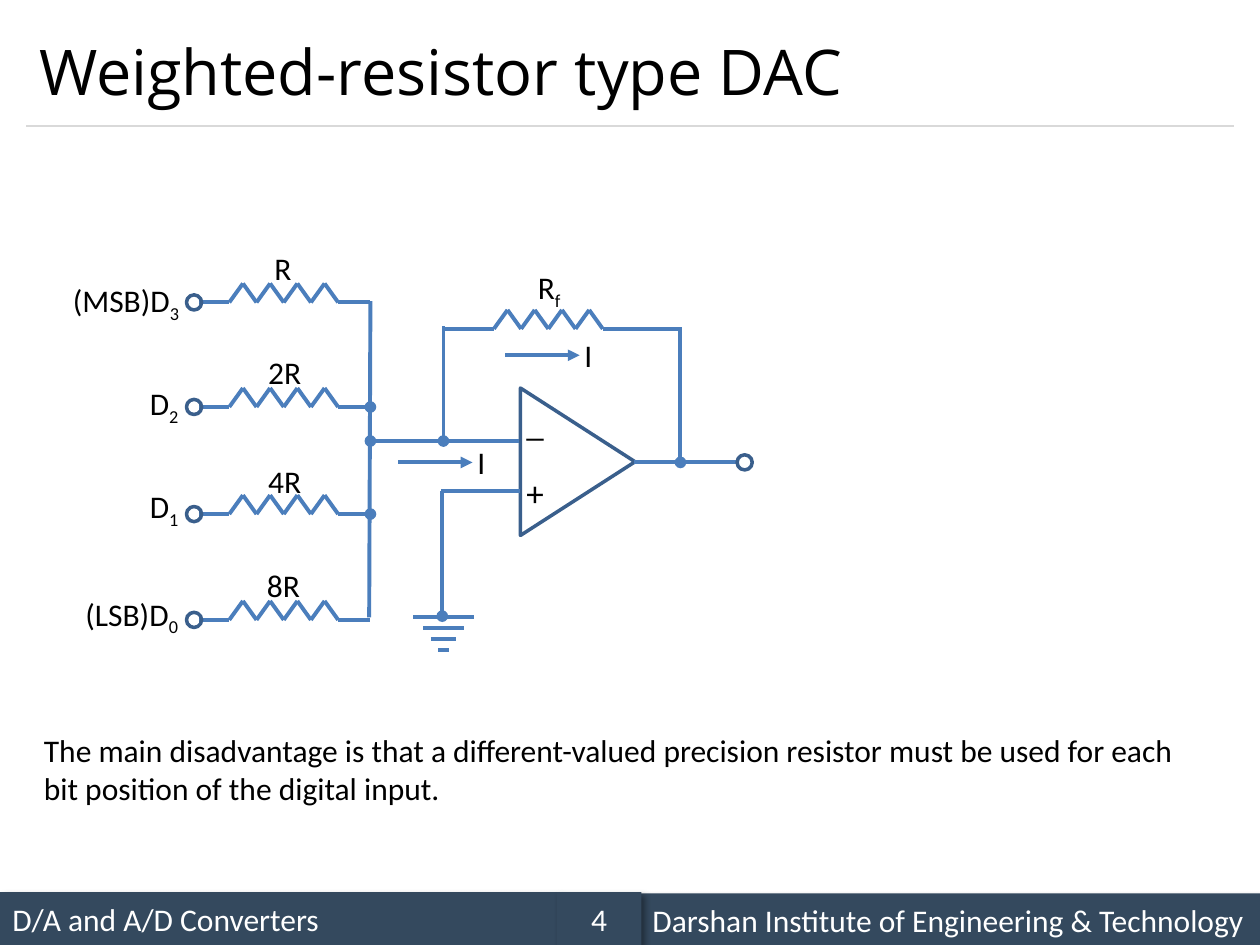
from lxml.etree import SubElement
from pptx import Presentation
from pptx.dml.color import RGBColor
from pptx.enum.shapes import MSO_CONNECTOR, MSO_SHAPE
from pptx.enum.text import MSO_ANCHOR, PP_ALIGN
from pptx.oxml import parse_xml
from pptx.oxml.ns import nsdecls, qn
from pptx.util import Inches, Pt

COLORS = {"bar": "34495E", "rule": "D9D9D9", "wire": "4B7EBC",
          "outline": "3A5F8C", "text": "000000", "bar_text": "FFFFFF"}

BAR_SHADOW = (
    f'<a:effectLst {nsdecls("a")}>'
    '<a:outerShdw blurRad="50800" dist="38100" dir="2700000" algn="tl" rotWithShape="0">'
    '<a:srgbClr val="000000"><a:alpha val="40000"/></a:srgbClr>'
    '</a:outerShdw></a:effectLst>')


def color(name):
    return RGBColor.from_string(COLORS[name])


class CircuitSlide:
    body_font = "Calibri"
    title_font = "Open Sans"

    def __init__(self, presentation):
        self.slide = presentation.slides.add_slide(presentation.slide_layouts[5])
        self.shapes = self.slide.shapes

    def style(self, paragraph, size=18, ink="text", font=None):
        paragraph.font.size = Pt(size)
        paragraph.font.name = font or self.body_font
        paragraph.font.color.rgb = color(ink)

    def title(self, text, left, top, width, height):
        title = self.shapes.title
        title.left, title.top = Inches(left), Inches(top)
        title.width, title.height = Inches(width), Inches(height)
        title.text_frame.text = text
        title.text_frame.vertical_anchor = MSO_ANCHOR.MIDDLE
        paragraph = title.text_frame.paragraphs[0]
        paragraph.alignment = PP_ALIGN.LEFT
        self.style(paragraph, 36, font=self.title_font)

    def label(self, text, left, top, width, height=0.4, subscript="", size=18, wrap=False):
        box = self.shapes.add_textbox(Inches(left), Inches(top), Inches(width), Inches(height))
        box.text_frame.word_wrap = wrap
        paragraph = box.text_frame.paragraphs[0]
        paragraph.add_run().text = text
        if subscript:
            run = paragraph.add_run()
            run.text = subscript
            run.font._element.set("baseline", "-25000")
        self.style(paragraph, size)

    def line(self, start, end, ink="wire", width=2.25, tail=None):
        points = [Inches(value) for value in (*start, *end)]
        connector = self.shapes.add_connector(MSO_CONNECTOR.STRAIGHT, *points)
        connector.line.color.rgb = color(ink)
        connector.line.width = Pt(width)
        if tail:
            SubElement(connector.line._get_or_add_ln(), qn("a:tailEnd"), type=tail)
        SubElement(connector._element.spPr, qn("a:effectLst"))

    def outline(self, kind, left, top, width, height, rotation=0):
        shape = self.shapes.add_shape(
            kind, Inches(left), Inches(top), Inches(width), Inches(height))
        shape.rotation = rotation
        shape.shadow.inherit = False
        shape.fill.background()
        shape.line.color.rgb = color("outline")
        shape.line.width = Pt(2)

    def terminal(self, left, top):
        self.outline(MSO_SHAPE.OVAL, left, top, 0.12, 0.12)

    def resistor(self, start, zigzag, end, y, tail=None):
        """Lead, eight zigzag strokes, lead."""
        step, rise = 0.108, 0.15
        for stroke in range(8):
            x = zigzag + stroke * step
            low, high = y, y - rise
            ends = (high, low) if stroke % 2 else (low, high)
            self.line((x, ends[0]), (x + step, ends[1]))
        self.line((start, y), (zigzag, y))
        self.line((zigzag + 8 * step, y), (end, y), tail=tail)

    def bar(self, text, left, top, width, align=PP_ALIGN.LEFT):
        bar = self.shapes.add_shape(
            MSO_SHAPE.RECTANGLE, Inches(left), Inches(top), Inches(width), Inches(0.42))
        bar.fill.solid()
        bar.fill.fore_color.rgb = color("bar")
        bar.line.fill.background()
        bar._element.spPr.append(parse_xml(BAR_SHADOW))
        bar.text_frame.text = text
        bar.text_frame.word_wrap = True
        bar.text_frame.vertical_anchor = MSO_ANCHOR.MIDDLE
        paragraph = bar.text_frame.paragraphs[0]
        paragraph.alignment = align
        self.style(paragraph, ink="bar_text")


def main():
    presentation = Presentation()
    presentation.slide_width, presentation.slide_height = Inches(10), Inches(7.5)
    page = CircuitSlide(presentation)

    # Footer, title and rule
    page.bar("D/A and A/D Converters", 0, 7.08, 4.42)
    page.bar("Darshan Institute of Engineering & Technology", 5.08, 7.09, 4.92)
    page.bar("4", 4.42, 7.08, 0.67, PP_ALIGN.CENTER)
    page.title("Weighted-resistor type DAC", 0.21, 0.12, 9.58, 0.88)
    page.line((0.21, 1), (9.79, 1), "rule", 0.75)

    # Input branches: resistor, its label, and the bit label (left, top, width)
    branches = [
        (2.4, "R", 2.08, 1.93, 0.33, None, "(MSB)D", "3", 0.48, 2.18, 1.11),
        (3.23, "2R", 2.03, 2.75, 0.47, "oval", "D", "2", 1.09, 3, 0.45),
        (4.08, "4R", 2.03, 3.62, 0.47, "oval", "D", "1", 1.09, 3.82, 0.45),
        (4.92, "8R", 2.02, 4.44, 0.47, None, "(LSB)D", "0", 0.58, 4.67, 0.96),
    ]
    for y, value, left, top, width, joint, bit, index, bit_left, bit_top, bit_width in branches:
        page.resistor(1.58, 1.82, 2.94, y, joint)
        page.label(value, left, top, width)
        page.terminal(1.48, y - 0.06)
        page.label(bit, bit_left, bit_top, bit_width, subscript=index)
    page.line((2.94, 2.39), (2.93, 4.9))

    # Operational amplifier
    page.outline(MSO_SHAPE.ISOSCELES_TRIANGLE, 4, 3.21, 1.17, 0.91, rotation=90)
    page.label("_", 4.08, 3.14, 0.5, 0.44, size=20)
    page.label("+", 4.08, 3.69, 0.5, 0.44, size=20)
    page.line((4.12, 3.5), (2.94, 3.5), tail="oval")

    # Grounded input
    page.line((3.5, 3.9), (4.13, 3.9))
    page.line((3.51, 3.9), (3.51, 4.89), tail="oval")
    for row, half in enumerate((0.24, 0.16, 0.1, 0.04)):
        y = 4.9 + row * 0.087
        page.line((3.52 - half, y), (3.52 + half, y))

    # Output
    page.line((5.03, 3.67), (5.86, 3.67))
    page.terminal(5.85, 3.61)

    # Feedback loop
    page.line((5.4, 2.6), (5.4, 3.67), tail="oval")
    page.resistor(3.52, 3.92, 5.41, 2.61)
    page.line((3.52, 2.59), (3.52, 3.5), tail="oval")
    page.label("R", 4.17, 2.08, 0.46, subscript="f")

    # Current arrows
    for x, y in ((3.16, 3.67), (4.01, 2.82)):
        page.line((x, y), (x + 0.59, y), tail="triangle")
        page.label("I", x + 0.53, y - 0.2, 0.33)

    # Remark
    page.label("The main disadvantage is that a different-valued precision resistor must be "
               "used for each bit position of the digital input.",
               0.25, 5.75, 9.42, 0.71, wrap=True)

    presentation.save("out.pptx")


if __name__ == "__main__":
    main()
